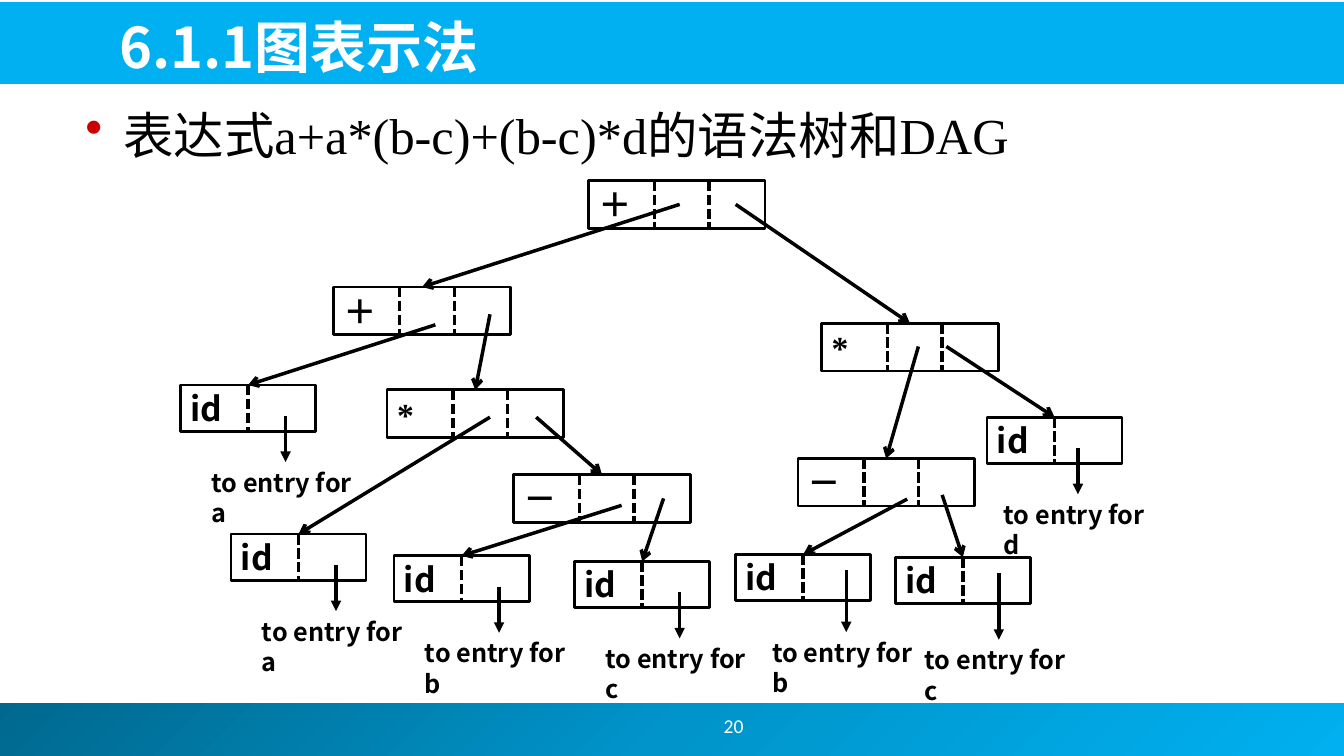
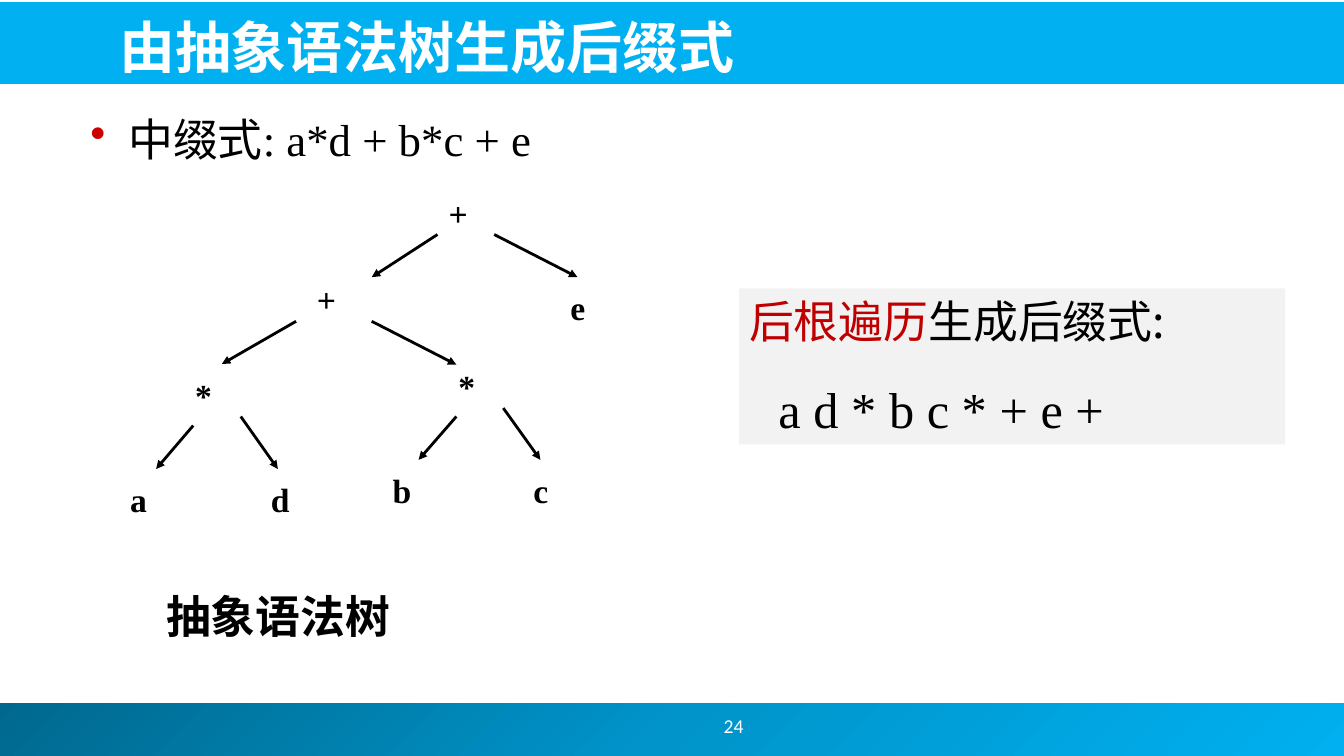
import lxml.etree
import pptx
import pptx.dml.color
import pptx.enum.dml
import pptx.enum.shapes
import pptx.enum.text
import pptx.oxml.ns
import pptx.util

Pt = pptx.util.Pt
RGBColor = pptx.dml.color.RGBColor
Shape = pptx.enum.shapes.MSO_SHAPE
Anchor = pptx.enum.text.MSO_ANCHOR
Align = pptx.enum.text.PP_ALIGN
qn = pptx.oxml.ns.qn

BLACK = RGBColor(0x00, 0x00, 0x00)
WHITE = RGBColor(0xFF, 0xFF, 0xFF)
SKY = RGBColor(0x00, 0xB0, 0xF0)
RED = RGBColor(0xC0, 0x00, 0x00)
GRAY = RGBColor(0xF2, 0xF2, 0xF2)
BULLET = "CC0000"
BLEND = ((0, "00688E"), (50000, "0094CA"), (100000, "00B0F0"))

SANS = "Noto Sans CJK JP"
SERIF = "Times New Roman"

TITLE = dict(name=SANS, size=Pt(40), bold=True)
PAGE = dict(name="Calibri", size=Pt(14))
CELL = dict(name=SANS, size=Pt(24), bold=True)
STAR = dict(CELL, name=SERIF)
LABEL = dict(name=SANS, size=Pt(18), bold=True)
LEAD = dict(name=SANS, size=Pt(32))
RESULT = dict(name=SERIF, size=Pt(36))
NAME = dict(name=SERIF, size=Pt(32), bold=True)


def child(node, tag, **attrs):
    return lxml.etree.SubElement(node, qn(tag), attrs)


def add_run(para, text, style, color=BLACK):
    run = para.add_run()
    run.text = text
    for key, value in style.items():
        setattr(run.font, key, value)
    run.font.color.rgb = color
    child(run._r.get_or_add_rPr(), "a:ea", typeface=SANS)


def set_frame(shape, anchor=Anchor.TOP, wrap=True, align=Align.LEFT):
    frame = shape.text_frame
    values = dict(word_wrap=wrap, vertical_anchor=anchor)
    for key, value in values.items():
        setattr(frame, key, value)
    para = frame.paragraphs[0]
    para.alignment = align
    return para


def add_text(slide, box, text, style, color=BLACK, **layout):
    shape = slide.shapes.add_textbox(*map(Pt, box))
    add_run(set_frame(shape, **layout), text, style, color)


def add_box(slide, kind, box, fill=None, edge=None):
    shape = slide.shapes.add_shape(kind, *map(Pt, box))
    shape.shadow.inherit = False
    if fill is None:
        shape.fill.background()
    else:
        shape.fill.solid()
        shape.fill.fore_color.rgb = fill
    if edge is None:
        shape.line.fill.background()
    else:
        shape.line.color.rgb = BLACK
        shape.line.width = Pt(edge)
    return shape


def add_line(slide, start, end, width=2.5, head=None, dash=False):
    kind = pptx.enum.shapes.MSO_CONNECTOR.STRAIGHT
    line = slide.shapes.add_connector(kind, *map(Pt, (*start, *end)))
    line.line.color.rgb = BLACK
    line.line.width = Pt(width)
    if dash:
        line.line.dash_style = pptx.enum.dml.MSO_LINE.SQUARE_DOT
    if head:
        child(line.line._get_or_add_ln(), "a:tailEnd", type=head)
    child(line._element.spPr, "a:effectLst")
    return line


def add_base(deck, title, page):
    slide = deck.slides.add_slide(deck.slide_layouts[6])
    foot = add_box(slide, Shape.RECTANGLE, (-3.5, 502.5, 964, 37.5))
    foot.fill.gradient()
    foot.fill.gradient_angle = 315
    stops = foot._element.spPr.find(qn("a:gradFill")).find(qn("a:gsLst"))
    for stop in list(stops):
        stops.remove(stop)
    for place, tone in BLEND:
        child(child(stops, "a:gs", pos=str(place)), "a:srgbClr", val=tone)
    add_box(slide, Shape.RECTANGLE, (-1.5, 1.5, 962, 58.5), SKY)
    add_text(slide, (420, 500.5, 208, 36), page, PAGE, WHITE,
             anchor=Anchor.MIDDLE, align=Align.CENTER)
    add_text(slide, (78, 3.5, 850, 57), title, TITLE, WHITE,
             anchor=Anchor.BOTTOM)
    return slide


def add_point(slide, box, text, size):
    shape = slide.shapes.add_textbox(*map(Pt, box))
    para = set_frame(shape)
    props = para._p.get_or_add_pPr()
    props.set("marL", str(Pt(27)))
    props.set("indent", str(Pt(-27)))
    child(child(props, "a:buClr"), "a:srgbClr", val=BULLET)
    child(props, "a:buChar", char="•")
    add_run(para, text, dict(name=SERIF, size=Pt(size)))


def add_cell(slide, box, text):
    shape = add_box(slide, Shape.RECTANGLE, box, edge=2)
    style = STAR if text == "*" else CELL
    add_run(set_frame(shape, Anchor.MIDDLE), text, style)
    return shape


def add_op(slide, x, y, sign):
    shape = add_cell(slide, (x, y, 126, 34), sign)
    for step in (47, 86):
        add_line(slide, (x + step, y), (x + step, y + 34), dash=True)
    return shape


def add_leaf(slide, x, y, name, step=75, top=22, low=55):
    shape = add_cell(slide, (x, y, 96.5, 33), "id")
    mid = x + 48.25
    split = add_line(slide, (mid, y), (mid, y + 33), dash=True)
    split.begin_connect(shape, 0)
    split.end_connect(shape, 2)
    add_line(slide, (x + step, y + top), (x + step, y + low), head="triangle")
    add_text(slide, (x + step - 60, y + low, 119.5, 29),
             "to entry for " + name, LABEL)
    return shape


def add_graph(slide, left, top):
    ops = {
        "root": (291.5, 0, "＋"),
        "sum": (109.5, 76, "＋"),
        "mul1": (147.5, 149.5, "*"),
        "mul2": (458, 102, "*"),
        "sub1": (238, 210, "－"),
        "sub2": (441, 198.5, "－"),
    }
    leaves = {
        "a1": (0, 146, "a"),
        "a2": (36, 252.5, "a"),
        "b1": (152.5, 268, "b"),
        "c1": (281.5, 272, "c"),
        "b2": (396.5, 267, "b", 79, 11.5, 55.5),
        "c2": (510.5, 269, "c", 74, 11.5, 59),
        "d": (576, 169, "d", 65),
    }
    links = (
        ("root", 65, 17, "sum"), ("root", 105, 17, "mul2"),
        ("sum", 72.5, 27, "a1"), ("sum", 111.5, 19.5, "mul1"),
        ("mul1", 73.5, 19.5, "a2"), ("mul1", 106.5, 19.5, "sub1"),
        ("sub1", 77, 22, "b1"), ("sub1", 107, 17, "c1"),
        ("mul2", 69, 16.5, "sub2"), ("mul2", 89, 16.5, "d"),
        ("sub2", 78, 29, "b2"), ("sub2", 103, 26, "c2"),
    )
    nodes = {}
    for group, draw in ((ops, add_op), (leaves, add_leaf)):
        for key, (x, y, *rest) in group.items():
            nodes[key] = draw(slide, left + x, top + y, *rest)
    for key, dx, dy, goal in links:
        x, y = ops[key][:2]
        start = (left + x + dx, top + y + dy)
        line = add_line(slide, start, start, head="arrow")
        line.end_connect(nodes[goal], 0)


def add_tree(slide, left, top):
    nodes = (
        (227.5, 0, "+"), (133.5, 61.5, "+"), (314.5, 67.5, "e"),
        (46.5, 130, "*"), (234.5, 123.5, "*"),
        (0, 204.5, "a"), (100.5, 204.5, "d"),
        (187.5, 198, "b"), (288, 198, "c"),
    )
    links = (
        (234.5, 37, 187.5, 67.5), (275, 37, 334.5, 67.5),
        (133.5, 99, 80.5, 129.5), (187.5, 99, 248, 130),
        (60, 173.5, 33.5, 204.5), (94, 167, 120.5, 204.5),
        (248, 167, 221, 198), (281.5, 161, 308, 198),
    )
    for x, y, sign in nodes:
        shape = add_box(slide, Shape.OVAL, (left + x, top + y, 53.5, 43))
        add_run(set_frame(shape, Anchor.MIDDLE, False), sign, STAR)
    for x1, y1, x2, y2 in links:
        add_line(slide, (left + x1, top + y1), (left + x2, top + y2),
                 2, "triangle")


def add_panel(slide, box):
    shape = add_box(slide, Shape.RECTANGLE, box, GRAY)
    para = set_frame(shape)
    add_run(para, "后根遍历", LEAD, RED)
    add_run(para, "生成后缀式:", LEAD)
    para = shape.text_frame.add_paragraph()
    para.alignment = Align.LEFT
    para.space_before = Pt(22)
    para._p.get_or_add_pPr().set("marL", str(Pt(21)))
    add_run(para, "a d * b c * + e +", RESULT)


def main():
    deck = pptx.Presentation()
    deck.slide_width = Pt(960)
    deck.slide_height = Pt(540)

    slide = add_base(deck, "6.1.1图表示法", "20")
    add_point(slide, (54, 70.5, 762, 97),
              "表达式a+a*(b-c)+(b-c)*d的语法树和DAG", 36)
    add_graph(slide, 129, 129)

    slide = add_base(deck, "由抽象语法树生成后缀式", "24")
    add_point(slide, (57.5, 76.5, 672, 54), "中缀式: a*d + b*c + e", 32)
    add_tree(slide, 78, 130.5)
    add_text(slide, (111.5, 417, 278, 46), "抽象语法树", NAME)
    add_panel(slide, (528, 206, 390, 111.5))

    deck.save("out.pptx")


if __name__ == "__main__":
    main()
